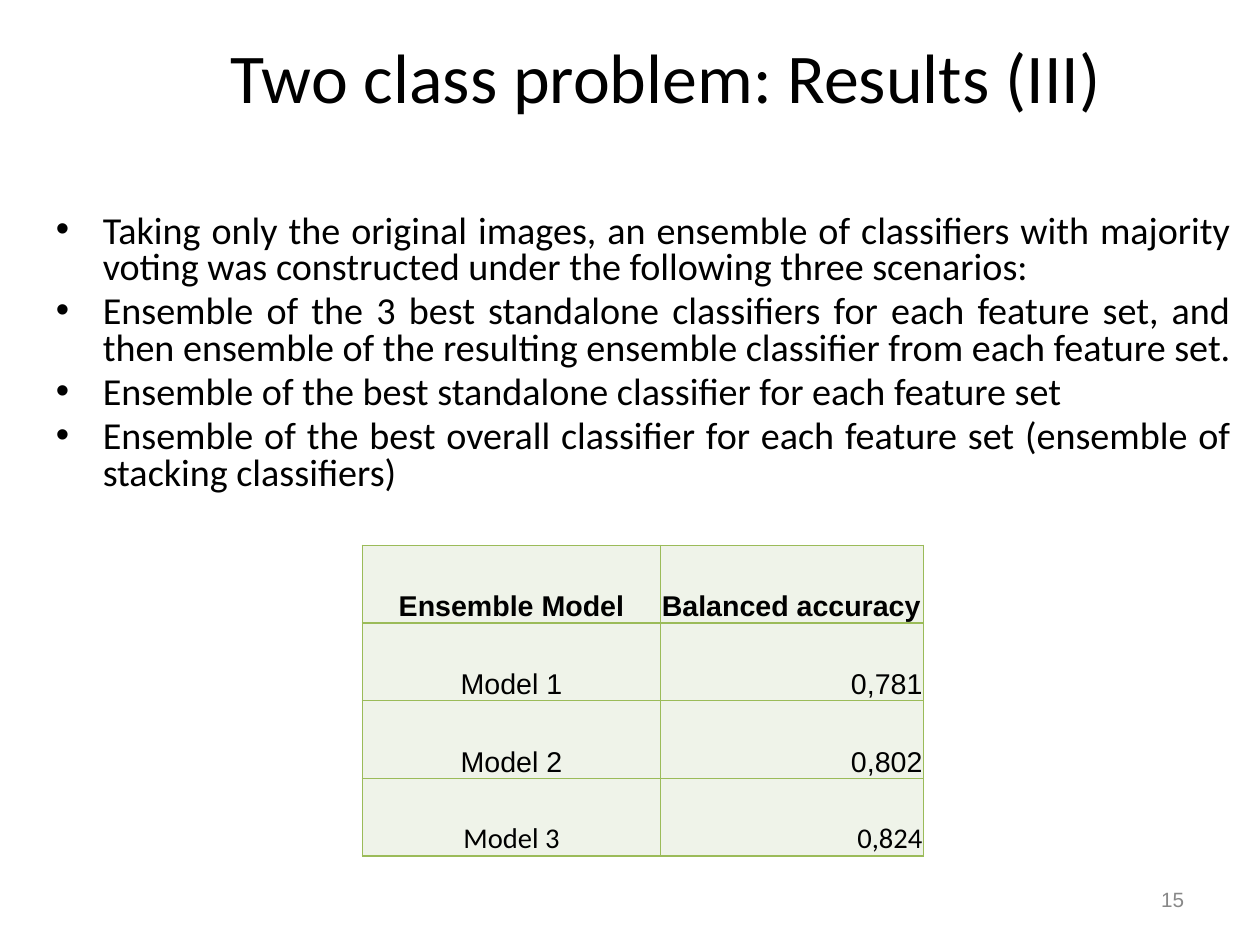
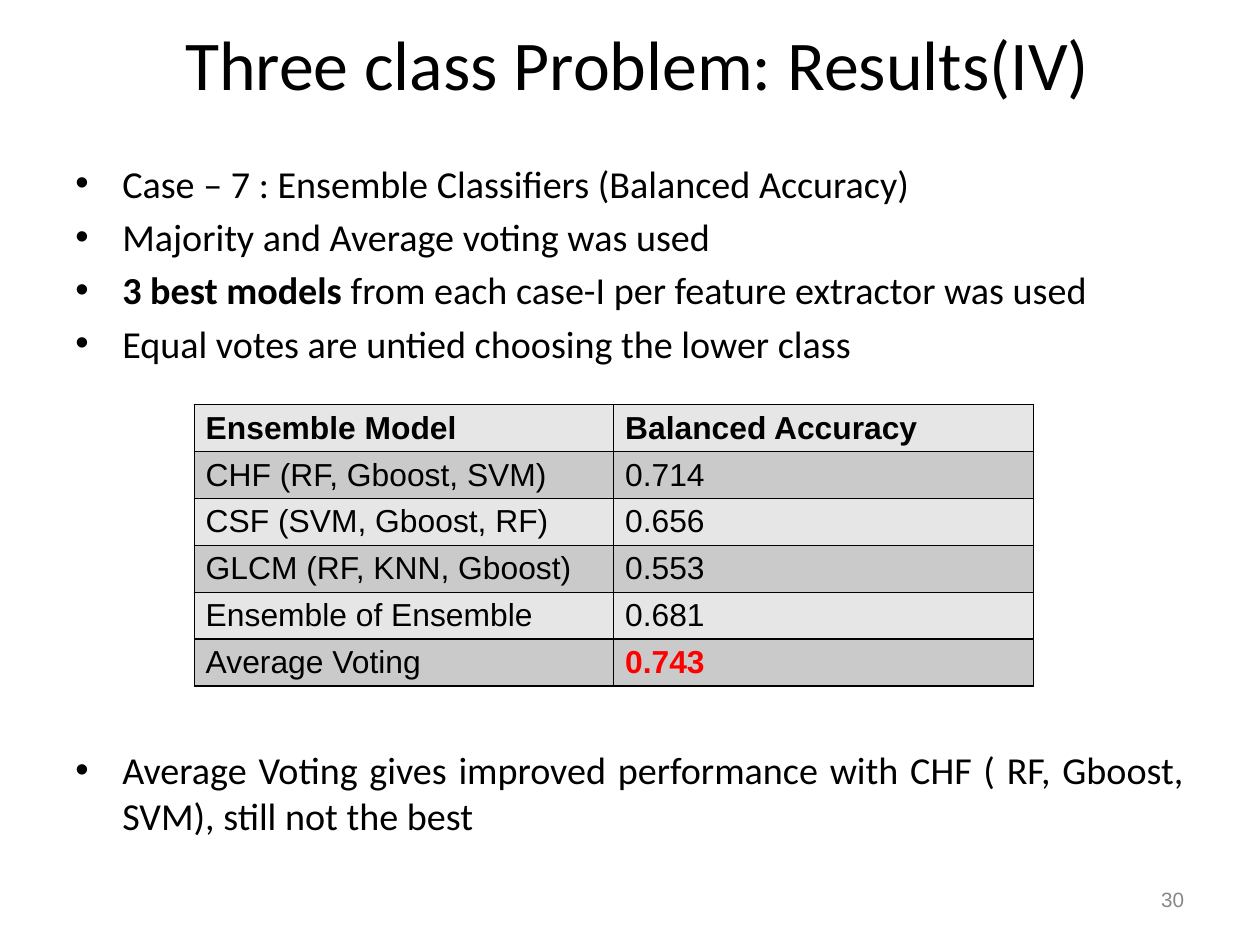
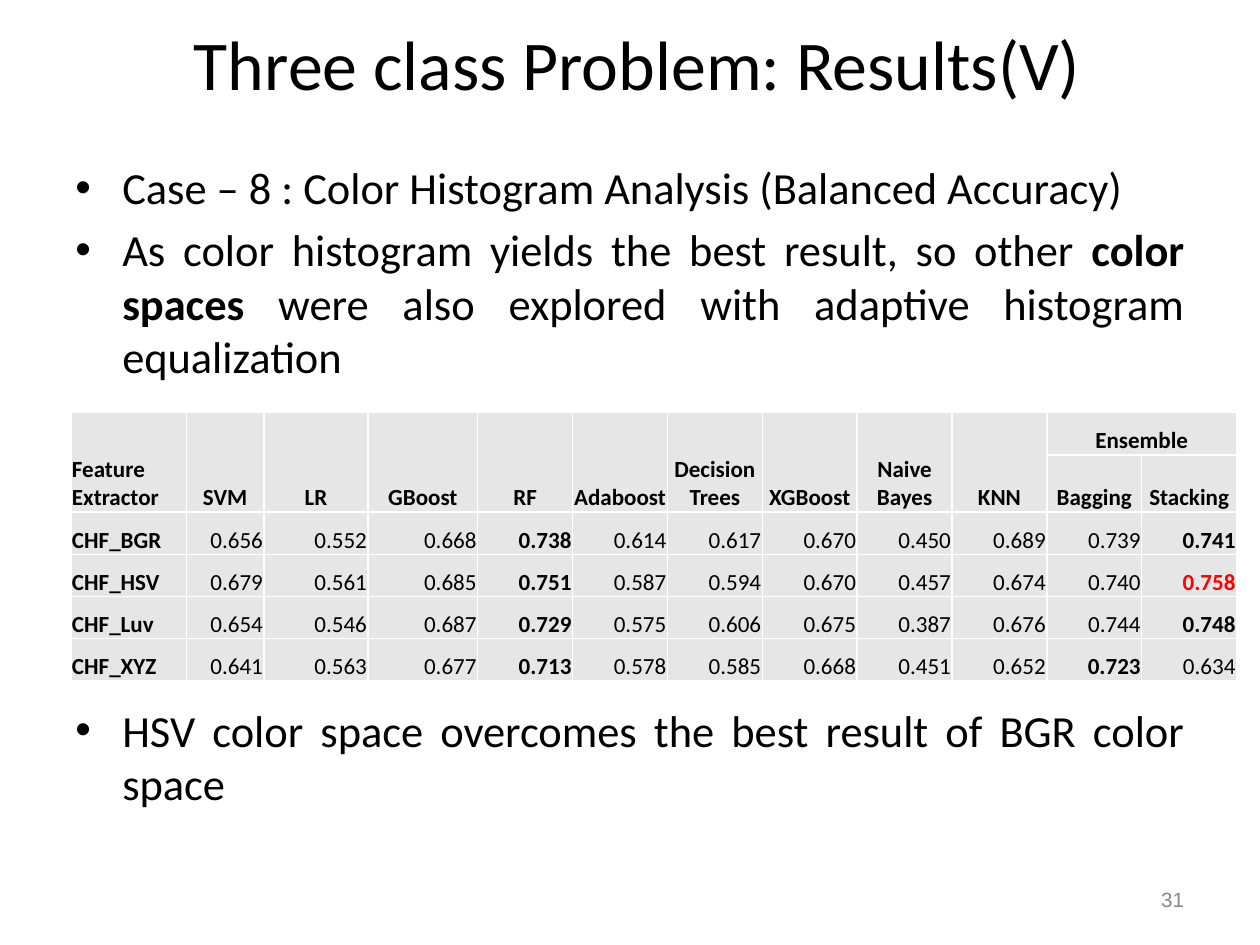
from dataclasses import dataclass

from pptx import Presentation
from pptx.dml.color import RGBColor
from pptx.enum.text import MSO_ANCHOR, MSO_AUTO_SIZE, PP_ALIGN
from pptx.oxml.ns import qn
from pptx.util import Cm, Inches, Pt
from lxml import etree

LEFT, MID, RIGHT, EVEN = (PP_ALIGN.LEFT, PP_ALIGN.CENTER, PP_ALIGN.RIGHT,
                          PP_ALIGN.JUSTIFY)
TOP, CENTER, BOTTOM = MSO_ANCHOR.TOP, MSO_ANCHOR.MIDDLE, MSO_ANCHOR.BOTTOM
NO_FIT = MSO_AUTO_SIZE.NONE

BLACK = RGBColor(0x00, 0x00, 0x00)
WHITE = RGBColor(0xFF, 0xFF, 0xFF)
RED = RGBColor(0xFF, 0x00, 0x00)
DIM = RGBColor(0x88, 0x88, 0x88)
PALE = RGBColor(0xE6, 0xE6, 0xE6)
GRAY = RGBColor(0xCA, 0xCA, 0xCA)
GREEN = RGBColor(0x9B, 0xBB, 0x59)
MINT = RGBColor(0xEF, 0xF3, 0xE9)

SANS, BODY = "Arial", "Calibri"
TITLE_BOX = (0.62, 0.14, 9.92, 0.82)
PAGE_BOX = (7.9, 7.66, 2.57, 0.44)
TIGHT = (0.01, 0.01, 0.01, 0)
ROOMY = (0.1, 0.05, 0.1, 0.05)


@dataclass
class Look:
    """Style of a table; align maps (row, column) to an alignment."""
    font: str
    size: float
    edge: RGBColor
    fills: tuple
    anchor: int
    pad: tuple
    align: object
    heads: int = 1


def write(para, text, font, size, color=BLACK, bold=False):
    """Fill a paragraph; parts between asterisks become bold."""
    for i, part in enumerate(text.split("*")):
        if part:
            run = para.add_run()
            run.text = part
            run.font.name, run.font.size = font, Pt(size)
            run.font.bold = bold or i % 2 == 1
            run.font.color.rgb = color


def place(shape, box, anchor):
    shape.left, shape.top, shape.width, shape.height = map(Inches, box)
    frame = shape.text_frame
    frame.word_wrap, frame.auto_size = True, NO_FIT
    frame.vertical_anchor = anchor
    frame.margin_left = frame.margin_right = Inches(0.11)
    frame.margin_top = frame.margin_bottom = Inches(0.06)
    return frame


def start(deck, title, page, box=TITLE_BOX):
    """Add a slide with its title and page number."""
    slide = deck.slides.add_slide(deck.slide_layouts[5])
    para = place(slide.shapes.title, box, CENTER).paragraphs[0]
    para.alignment = MID
    write(para, title, BODY, 44)
    foot = slide.shapes.add_textbox(*map(Inches, PAGE_BOX))
    para = place(foot, PAGE_BOX, CENTER).paragraphs[0]
    para.alignment, para.line_spacing = RIGHT, 0.93
    write(para, str(page), SANS, 13, DIM)
    return slide


def bullets(slide, box, lines, size, pitch=1.0):
    frame = place(slide.shapes.add_textbox(*map(Inches, box)), box, TOP)
    for i, line in enumerate(lines):
        para = frame.add_paragraph() if i else frame.paragraphs[0]
        para.alignment, para.line_spacing = EVEN, pitch
        para.space_before = Pt(size * 0.2 if i else 0)
        props = para._p.get_or_add_pPr()
        props.set("marL", str(Inches(0.41)))
        props.set("indent", str(-Inches(0.41)))
        etree.SubElement(props, qn("a:buFont")).set("typeface", SANS)
        etree.SubElement(props, qn("a:buChar")).set("char", "•")
        write(para, line, BODY, size)


def outline(cell, color):
    props = cell._tc.get_or_add_tcPr()
    for side in ("lnL", "lnR", "lnT", "lnB"):
        line = etree.SubElement(props, qn("a:" + side))
        line.set("w", str(Pt(1)))
        fill = etree.SubElement(line, qn("a:solidFill"))
        etree.SubElement(fill, qn("a:srgbClr")).set("val", str(color))


def grid(slide, spot, cols, rows, data, look, hot=None):
    """Add a table at spot; hot is the (row, column) shown in red."""
    frame = slide.shapes.add_table(
        len(rows), len(cols), *map(Inches, (*spot, sum(cols), sum(rows))))
    table = frame.table
    table.first_row = table.horz_banding = False
    for col, width in zip(table.columns, cols):
        col.width = Inches(width)
    for row, height in zip(table.rows, rows):
        row.height = Inches(height)
    for r, texts in enumerate(data):
        for c, text in enumerate(texts):
            cell = table.cell(r, c)
            outline(cell, look.edge)
            cell.fill.solid()
            cell.fill.fore_color.rgb = look.fills[r % len(look.fills)]
            cell.vertical_anchor = look.anchor
            (cell.margin_left, cell.margin_top, cell.margin_right,
             cell.margin_bottom) = map(Inches, look.pad)
            para = cell.text_frame.paragraphs[0]
            para.alignment = look.align(r, c)
            write(para, text, look.font, look.size,
                  RED if (r, c) == hot else BLACK, r < look.heads)
    return table


def two_class(deck):
    slide = start(deck, "Two class problem: Results (III)", 15,
                  (0.64, 0.25, 10.38, 0.82))
    look = Look(SANS, 18, GREEN, (MINT,), BOTTOM, TIGHT,
                lambda r, c: MID if c == 0 else RIGHT if r else LEFT)
    data = [("Ensemble Model", "Balanced accuracy"),
            ("Model 1", "0,781"), ("Model 2", "0,802"), ("Model 3", "0,824")]
    table = grid(slide, (3.17, 4.77), (2.61, 2.3), [0.68] * 4, data, look)
    for cell in table.rows[3].cells:
        cell.text_frame.paragraphs[0].runs[0].font.name = BODY
    bullets(slide, (0.38, 1.82, 10.5, 2.6), [
        "Taking only the original images, an ensemble of classifiers with "
        "majority voting was constructed under the following three scenarios:",
        "Ensemble of the 3 best standalone classifiers for each feature set, "
        "and then ensemble of the resulting ensemble classifier from each "
        "feature set.",
        "Ensemble of the best standalone classifier for each feature set",
        "Ensemble of the best overall classifier for each feature set "
        "(ensemble of stacking classifiers)"], 24, 0.8)


def voting(deck):
    slide = start(deck, "Three class Problem: Results(IV)", 30)
    bullets(slide, (0.55, 1.34, 9.92, 2.1), [
        "Case – 7 : Ensemble Classifiers (Balanced Accuracy)",
        "Majority and Average voting was used",
        "*3 best models* from each case-I per feature extractor was used",
        "Equal votes are untied choosing the lower class"], 24)
    look = Look(SANS, 20, BLACK, (PALE, GRAY), TOP, ROOMY,
                lambda r, c: LEFT)
    data = [("Ensemble Model", "Balanced Accuracy"),
            ("CHF (RF, Gboost, SVM)", "0.714"),
            ("CSF (SVM, Gboost, RF)", "0.656"),
            ("GLCM (RF, KNN, Gboost)", "0.553"),
            ("Ensemble of Ensemble", "0.681"),
            ("Average Voting", "*0.743*")]
    grid(slide, (1.7, 3.54), (3.67, 3.67), [0.41] * 6, data, look, (5, 1))
    bullets(slide, (0.55, 6.47, 9.92, 1.1), [
        "Average Voting gives improved performance with CHF ( RF, Gboost, "
        "SVM), still not the best"], 24)


def color_spaces(deck):
    slide = start(deck, "Three class Problem: Results(V)", 31)
    bullets(slide, (0.55, 1.34, 9.92, 2.15), [
        "Case – 8 : Color Histogram Analysis (Balanced Accuracy)",
        "As color histogram yields the best result, so other *color spaces* "
        "were also explored with adaptive histogram equalization"], 28)
    look = Look(BODY, 14.5, WHITE, (PALE,), BOTTOM, TIGHT,
                lambda r, c: LEFT if c == 0 else MID if r < 2 else RIGHT, 2)
    data = [
        ("Feature Extractor", "SVM", "LR", "GBoost", "RF", "Adaboost",
         "Decision Trees", "XGBoost", "Naive Bayes", "KNN", "Ensemble", ""),
        [""] * 10 + ["Bagging", "Stacking"],
        ("*CHF_BGR*", "0.656", "0.552", "0.668", "*0.738*", "0.614", "0.617",
         "0.670", "0.450", "0.689", "0.739", "*0.741*"),
        ("*CHF_HSV*", "0.679", "0.561", "0.685", "*0.751*", "0.587", "0.594",
         "0.670", "0.457", "0.674", "0.740", "*0.758*"),
        ("*CHF_Luv*", "0.654", "0.546", "0.687", "*0.729*", "0.575", "0.606",
         "0.675", "0.387", "0.676", "0.744", "*0.748*"),
        ("*CHF_XYZ*", "0.641", "0.563", "0.677", "*0.713*", "0.578", "0.585",
         "0.668", "0.451", "0.652", "*0.723*", "0.634")]
    cols = [1.01, 0.68, 0.91, 0.96] + [0.83] * 8
    rows = [0.37, 0.5] + [0.37] * 4
    table = grid(slide, (0.62, 3.61), cols, rows, data, look, (3, 11))
    for c in range(10):
        table.cell(0, c).merge(table.cell(1, c))
    table.cell(0, 10).merge(table.cell(0, 11))
    bullets(slide, (0.55, 6.09, 9.92, 1.2), [
        "HSV color space overcomes the best result of BGR color space"], 28)


def main():
    deck = Presentation()
    deck.slide_width, deck.slide_height = Cm(28), Cm(21)
    two_class(deck)
    voting(deck)
    color_spaces(deck)
    deck.save("out.pptx")


if __name__ == "__main__":
    main()
